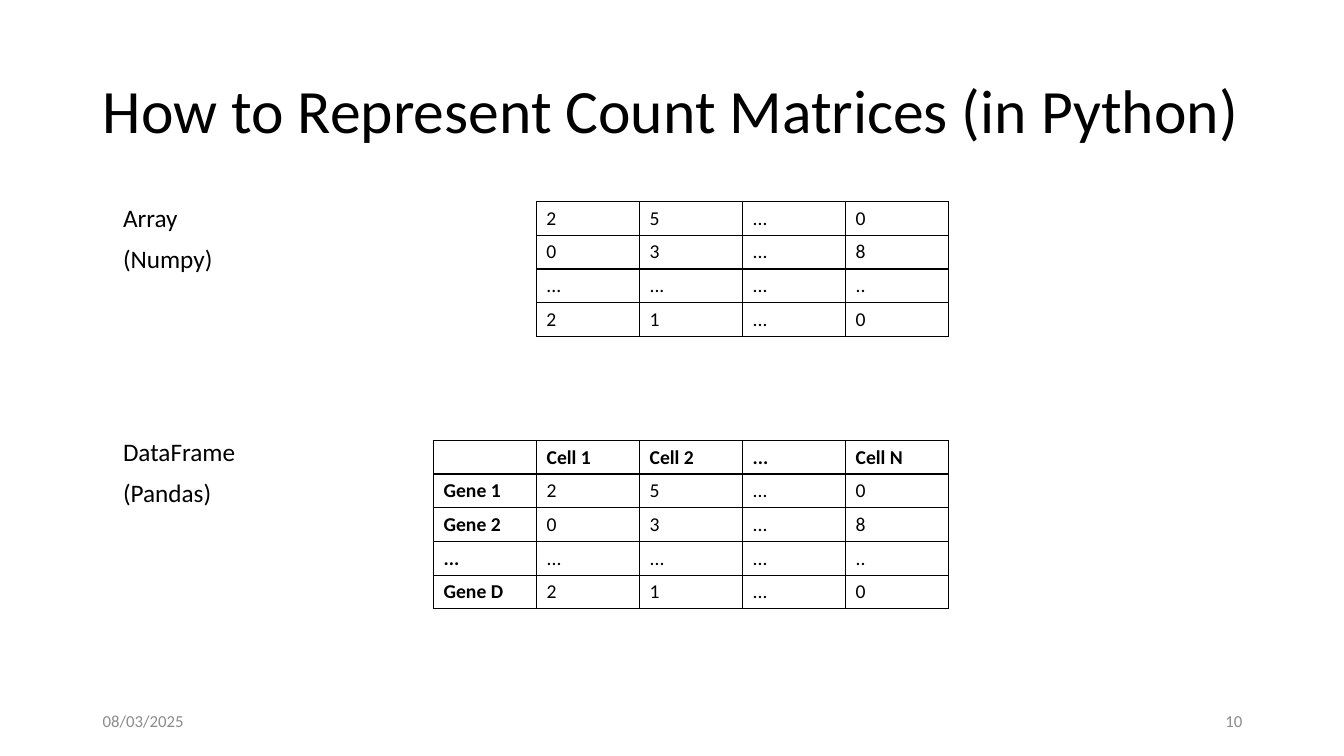
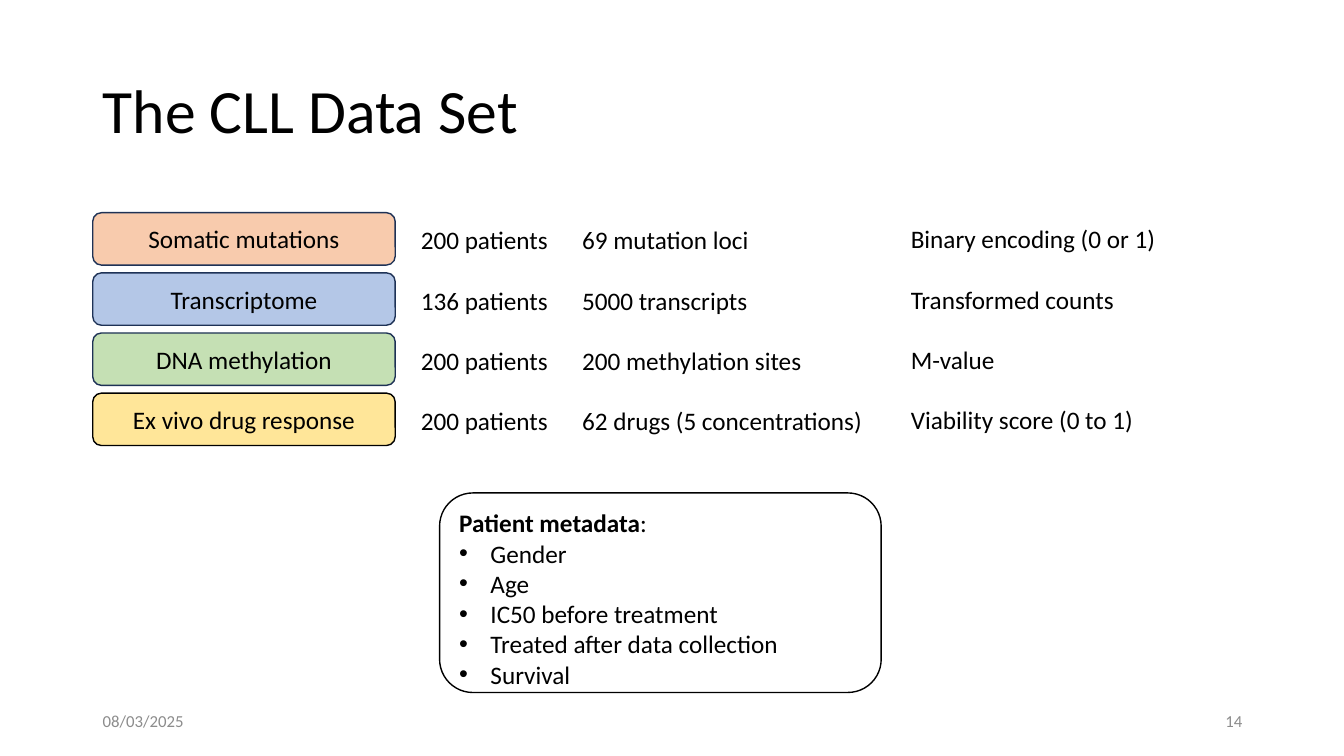
from pptx import Presentation
from pptx.dml.color import RGBColor
from pptx.enum.shapes import MSO_SHAPE
from pptx.enum.text import MSO_ANCHOR, MSO_AUTO_SIZE, PP_ALIGN
from pptx.oxml.ns import qn
from pptx.util import Inches, Pt
from lxml.etree import SubElement

BLACK = RGBColor(0x00, 0x00, 0x00)
WHITE = RGBColor(0xFF, 0xFF, 0xFF)
GRAY = RGBColor(0x8C, 0x8C, 0x8C)
NAVY = RGBColor(0x1E, 0x32, 0x56)
ORANGE = RGBColor(0xF8, 0xCB, 0xAD)
BLUE = RGBColor(0xB4, 0xC7, 0xE7)
GREEN = RGBColor(0xC5, 0xE0, 0xB4)
YELLOW = RGBColor(0xFF, 0xE6, 0x99)

FONT = "Calibri"
BULLET_FONT = "Arial"
TITLE_AND_CONTENT, TITLE_ONLY = 1, 5

COUNTS = [
    ["2", "5", "...", "0"],
    ["0", "3", "...", "8"],
    ["...", "...", "...", ".."],
    ["2", "1", "...", "0"],
]
CELLS = ["", "Cell 1", "Cell 2", "...", "Cell N"]
GENES = ["Gene 1", "Gene 2", "...", "Gene D"]

DATA_TYPES = [
    ("Somatic mutations", ORANGE, NAVY, "200 patients", "69 mutation loci", "Binary encoding (0 or 1)"),
    ("Transcriptome", BLUE, NAVY, "136 patients", "5000 transcripts", "Transformed counts"),
    ("DNA methylation", GREEN, NAVY, "200 patients", "200 methylation sites", "M-value"),
    ("Ex vivo drug response", YELLOW, BLACK, "200 patients", "62 drugs (5 concentrations)", "Viability score (0 to 1)"),
]
FIRST_TOP, LAST_TOP = 2.11, 3.9
DETAIL_COLUMNS = [(4.05, 0.01, 2.51), (5.65, 0.01, 3.07), (8.91, 0, 2.73)]
METADATA = ["Gender", "Age", "IC50 before treatment", "Treated after data collection", "Survival"]


def write(para, text, size=18, color=BLACK, bold=False, align=PP_ALIGN.LEFT, spacing=1.0, before=0):
    """Add formatted text to a paragraph, or only set its size if the text is empty."""
    para.alignment = align
    para.line_spacing = spacing
    para.space_before = Pt(before)
    if not text:
        SubElement(para._p, qn("a:endParaRPr")).set("sz", str(size * 100))
        return
    span = para.add_run()
    span.text = text
    span.font.name = FONT
    span.font.size = Pt(size)
    span.font.bold = bold
    span.font.color.rgb = color


def set_bullet(para, char=None, indent=0):
    """Give a paragraph a hanging bullet, or none."""
    properties = para._p.get_or_add_pPr()
    properties.set("marL", str(Inches(indent)))
    properties.set("indent", str(-Inches(indent)))
    if char:
        SubElement(properties, qn("a:buFont")).set("typeface", BULLET_FONT)
        SubElement(properties, qn("a:buChar")).set("char", char)
    else:
        SubElement(properties, qn("a:buNone"))


def set_border(cell, side, width):
    """Draw a solid black border on one side of a table cell."""
    line = SubElement(cell._tc.get_or_add_tcPr(), qn(f"a:ln{side}"), w=str(Pt(width)))
    fill = SubElement(line, qn("a:solidFill"))
    SubElement(fill, qn("a:srgbClr")).set("val", str(BLACK))


def place(shape, left, top, width, height):
    """Move and size a shape, in inches."""
    shape.left, shape.top = Inches(left), Inches(top)
    shape.width, shape.height = Inches(width), Inches(height)


class SlideWriter:
    """Hold the shared style and the current slide."""

    def __init__(self):
        """Start an empty widescreen deck."""
        self.deck = Presentation()
        self.deck.slide_width = Inches(13.33)
        self.deck.slide_height = Inches(7.5)
        self.page = None

    def start(self, title, number, layout):
        """Add a slide with its title, date and number."""
        self.page = self.deck.slides.add_slide(self.deck.slide_layouts[layout])
        heading = self.page.shapes.title
        place(heading, 0.92, 0.4, 11.5, 1.45)
        frame = heading.text_frame
        frame.auto_size = MSO_AUTO_SIZE.NONE
        frame.vertical_anchor = MSO_ANCHOR.MIDDLE
        write(frame.paragraphs[0], title, size=44, spacing=0.9)
        self.footer("08/03/2025", 0.92, PP_ALIGN.LEFT)
        self.footer(number, 9.42, PP_ALIGN.RIGHT)

    def footer(self, text, left, align):
        """Add a small gray line at the foot of the slide."""
        box = self.page.shapes.add_textbox(Inches(left), Inches(6.95), Inches(3), Inches(0.4))
        frame = box.text_frame
        frame.word_wrap = True
        frame.vertical_anchor = MSO_ANCHOR.MIDDLE
        write(frame.paragraphs[0], text, size=12, color=GRAY, align=align)

    def body(self, lines, left, top, width, height):
        """Fill the body placeholder with pairs of text and space before."""
        box = self.page.placeholders[1]
        place(box, left, top, width, height)
        frame = box.text_frame
        frame.auto_size = MSO_AUTO_SIZE.NONE
        for index, (text, before) in enumerate(lines):
            para = frame.add_paragraph() if index else frame.paragraphs[0]
            write(para, text, spacing=0.9, before=before)
            set_bullet(para)

    def panel(self, left, top, width, height, fill=None, line=None):
        """Add a rounded rectangle, clear by default, and return its text frame."""
        box = self.page.shapes.add_shape(
            MSO_SHAPE.ROUNDED_RECTANGLE, Inches(left), Inches(top), Inches(width), Inches(height))
        box.shadow.inherit = False
        if fill is None:
            box.fill.background()
        else:
            box.fill.solid()
            box.fill.fore_color.rgb = fill
        if line is None:
            box.line.fill.background()
        else:
            box.line.color.rgb = line
            box.line.width = Pt(1)
        frame = box.text_frame
        frame.word_wrap = True
        frame.vertical_anchor = MSO_ANCHOR.MIDDLE
        return frame

    def table(self, rows, left, top, width, headed=False):
        """Add a ruled table, with bold row and column heads if headed."""
        table = self.page.shapes.add_table(
            len(rows), len(rows[0]), Inches(left), Inches(top),
            Inches(width), Inches(0.31 * len(rows))).table
        table.first_row = table.first_col = headed
        table.horz_banding = False
        for row, texts in enumerate(rows):
            for column, text in enumerate(texts):
                cell = table.cell(row, column)
                heavy_side = {0: "B", 1: "T"}.get(row) if headed else None
                for side in "LRTB":
                    set_border(cell, side, 2 if side == heavy_side else 1)
                cell.fill.background()
                bold = headed and (row == 0 or column == 0)
                write(cell.text_frame.paragraphs[0], text, size=14, bold=bold)


def build_matrices(writer):
    """Show a count matrix as an array and as a data frame."""
    writer.start("How to Represent Count Matrices (in Python)", "10", TITLE_AND_CONTENT)
    labels = [("Array", 10), ("(Numpy)", 10), ("DataFrame", 118), ("(Pandas)", 10)]
    writer.body(labels, 1.12, 1.99, 2.15, 4.76)
    framed = [CELLS] + [[gene] + counts for gene, counts in zip(GENES, COUNTS)]
    writer.table(framed, 4.3, 4.37, 5.11, headed=True)
    writer.table(COUNTS, 5.32, 2, 4.09)


def build_data_set(writer):
    """List the data types and the patient metadata."""
    writer.start("The CLL Data Set", "14", TITLE_ONLY)
    pitch = (LAST_TOP - FIRST_TOP) / (len(DATA_TYPES) - 1)
    for index, (name, fill, line, *details) in enumerate(DATA_TYPES):
        top = FIRST_TOP + pitch * index
        frame = writer.panel(0.92, top, 3, 0.52, fill, line)
        write(frame.paragraphs[0], name, align=PP_ALIGN.CENTER)
        for detail, (left, drop, width) in zip(details, DETAIL_COLUMNS):
            frame = writer.panel(left, top + drop, width, 0.52)
            write(frame.paragraphs[0], detail)
    frame = writer.panel(4.36, 4.89, 4.38, 1.98, WHITE, BLACK)
    frame.vertical_anchor = MSO_ANCHOR.TOP
    write(frame.paragraphs[0], "Patient metadata", bold=True)
    write(frame.paragraphs[0], ":")
    for item in METADATA:
        para = frame.add_paragraph()
        write(para, item)
        set_bullet(para, "•", 0.31)


def main():
    """Build and save the deck."""
    writer = SlideWriter()
    build_matrices(writer)
    build_data_set(writer)
    writer.deck.save("out.pptx")


if __name__ == "__main__":
    main()
